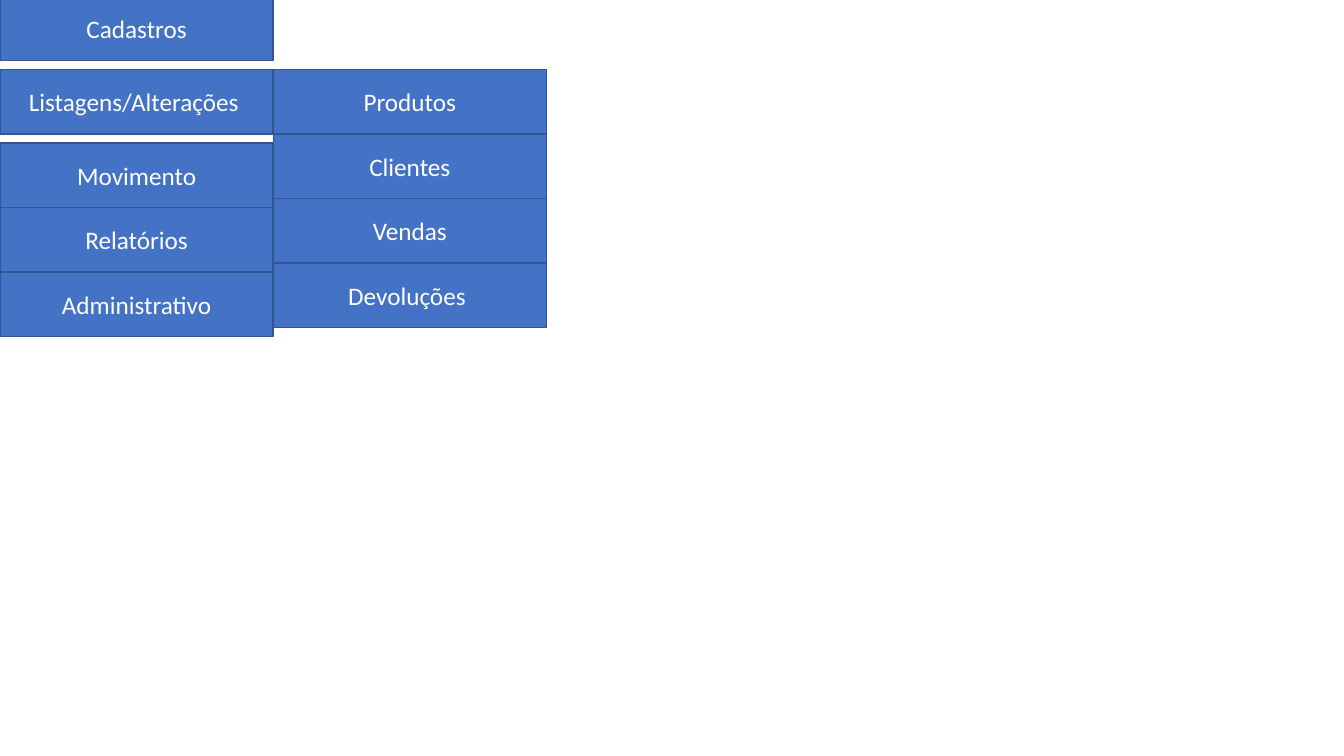
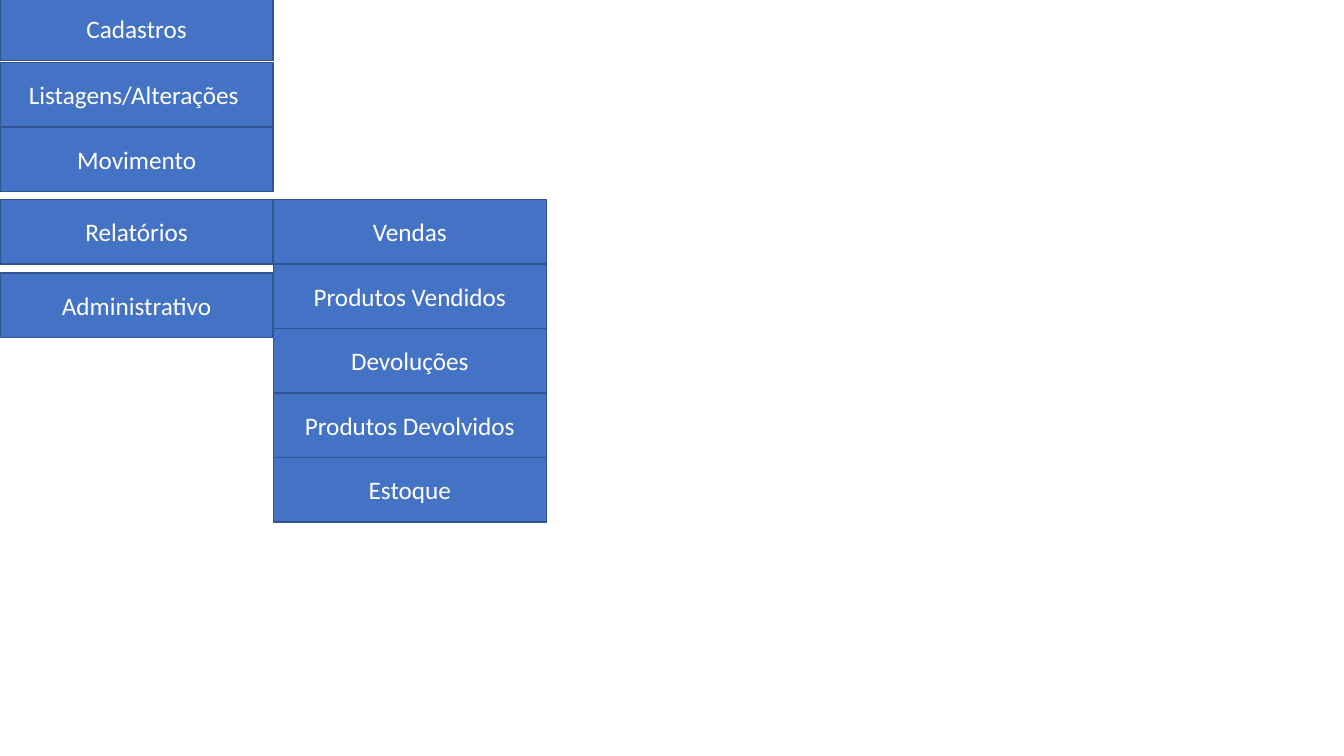
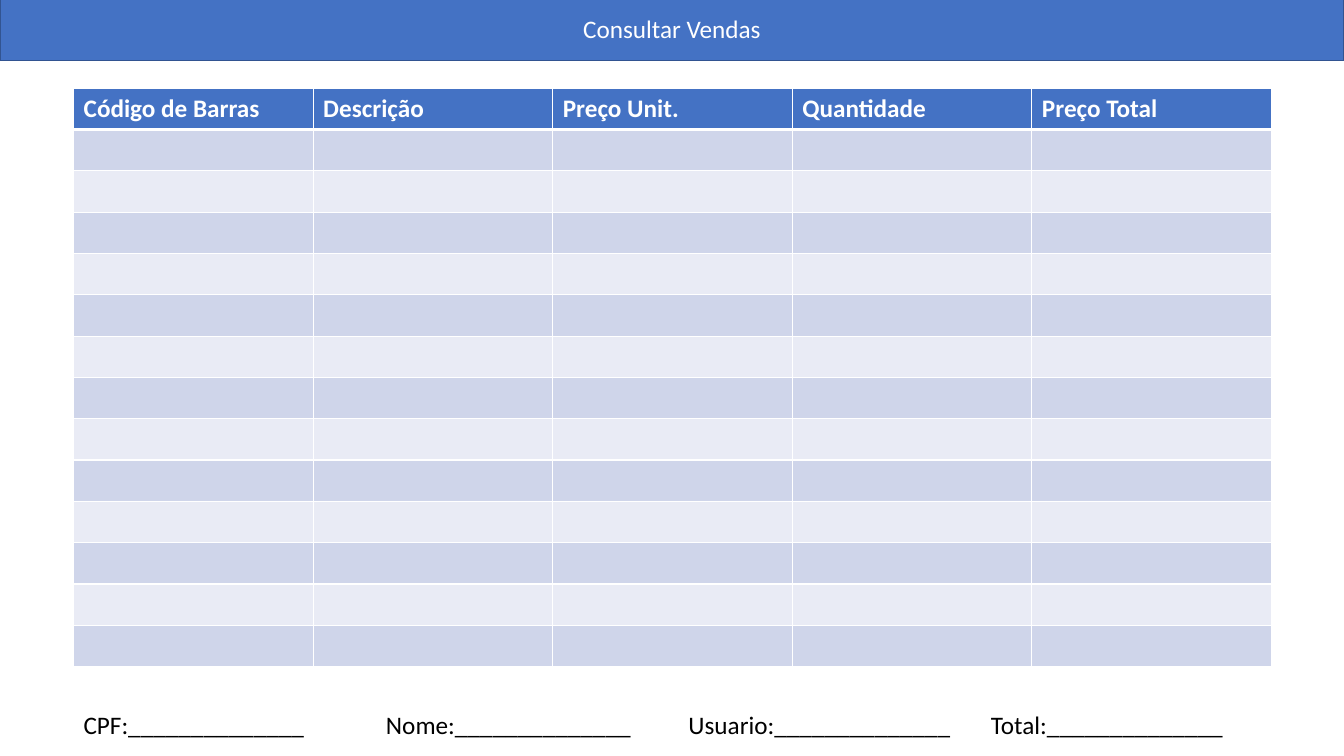
from dataclasses import dataclass

import lxml.etree
import pptx
import pptx.dml.color
import pptx.enum.shapes
import pptx.enum.text
import pptx.oxml.ns
import pptx.util

RGBColor = pptx.dml.color.RGBColor
Inches = pptx.util.Inches
ALIGN = pptx.enum.text.PP_ALIGN
qn = pptx.oxml.ns.qn

# Shared style
BLUE = RGBColor(0x44, 0x72, 0xC4)
DARK_BLUE = RGBColor(0x32, 0x54, 0x91)
DARK_BAND = RGBColor(0xCF, 0xD5, 0xEA)
LIGHT_BAND = RGBColor(0xE9, 0xEB, 0xF5)
WHITE = RGBColor(0xFF, 0xFF, 0xFF)
BLACK = RGBColor(0x00, 0x00, 0x00)
FONT = "Calibri"
FONT_SIZE = 18

# Grid, in inches
SLIDE_WIDTH, SLIDE_HEIGHT = 13.33, 7.5
BUTTON_WIDTH, BUTTON_HEIGHT = 2.71, 0.64
BAR_TOP = -0.04
MARGIN = 0.73
CONTENT_WIDTH = 11.88
TAB_STEP = 3


@dataclass(frozen=True)
class Menu:
    """Main menu with one open entry; each gap lies above its entry."""
    gaps: tuple[float, ...]
    open_entry: int
    submenu: tuple[str, ...]


MAIN_ENTRIES = ("Cadastros", "Listagens/Alterações ", "Movimento",
                "Relatórios", "Administrativo")
MENUS = (
    Menu((0, 0.09, 0.09, 0, 0), 1,
         ("Produtos", "Clientes", "Vendas", "Devoluções ")),
    Menu((0, 0.02, 0, 0.08, 0.09), 3,
         ("Vendas", "Produtos Vendidos", "Devoluções",
          "Produtos Devolvidos", "Estoque")),
)

SALES_HEADERS = ("Código de Barras", "Descrição", "Preço Unit.",
                 "Quantidade", "Preço Total")
SALES_ROWS = 13
SALES_TOP, HEADER_HEIGHT, ROW_HEIGHT = 0.88, 0.39, 0.41
FOOTER_LABELS = ("CPF", "Nome", "Usuario", "Total")
BLANK_FIELD = "_" * 14


def write_text(text_frame, text: str, *, color: RGBColor = WHITE,
               bold: bool = False, align: ALIGN = ALIGN.LEFT,
               tab_stops: tuple[float, ...] = ()) -> None:
    """Fill a text frame with one formatted paragraph."""
    paragraph = text_frame.paragraphs[0]
    paragraph.alignment = align
    if tab_stops:
        properties = paragraph._p.get_or_add_pPr()
        tab_list = lxml.etree.SubElement(properties, qn("a:tabLst"))
        for position in tab_stops:
            lxml.etree.SubElement(tab_list, qn("a:tab"),
                                  pos=str(Inches(position)), algn="l")
    run = paragraph.add_run()
    run.text = text
    run.font.name = FONT
    run.font.size = pptx.util.Pt(FONT_SIZE)
    run.font.bold = bold
    run.font.color.rgb = color


def add_button(slide, text: str, left: float, top: float,
               width: float = BUTTON_WIDTH) -> None:
    shape = slide.shapes.add_shape(
        pptx.enum.shapes.MSO_SHAPE.RECTANGLE,
        Inches(left), Inches(top), Inches(width), Inches(BUTTON_HEIGHT))
    shape.shadow.inherit = False
    shape.fill.solid()
    shape.fill.fore_color.rgb = BLUE
    shape.line.color.rgb = DARK_BLUE
    shape.line.width = pptx.util.Pt(1)
    shape.text_frame.vertical_anchor = pptx.enum.text.MSO_ANCHOR.MIDDLE
    write_text(shape.text_frame, text, align=ALIGN.CENTER)


def add_menu(slide, menu: Menu) -> None:
    top = BAR_TOP
    for index, (entry, gap) in enumerate(zip(MAIN_ENTRIES, menu.gaps)):
        top += gap
        add_button(slide, entry, 0, top)
        if index == menu.open_entry:
            for row, subentry in enumerate(menu.submenu):
                add_button(slide, subentry, BUTTON_WIDTH,
                           top + row * BUTTON_HEIGHT)
        top += BUTTON_HEIGHT


def style_cell(cell, fill: RGBColor, bottom_width: float = 1,
               top_width: float = 1) -> None:
    """Give a cell white borders and a plain fill."""
    properties = cell._tc.get_or_add_tcPr()
    widths = {"a:lnL": 1, "a:lnR": 1, "a:lnT": top_width, "a:lnB": bottom_width}
    for tag, width in widths.items():
        line = lxml.etree.SubElement(properties, qn(tag),
                                     w=str(pptx.util.Pt(width)))
        solid = lxml.etree.SubElement(line, qn("a:solidFill"))
        lxml.etree.SubElement(solid, qn("a:srgbClr"), val=str(WHITE))
    cell.fill.solid()
    cell.fill.fore_color.rgb = fill


def add_sales_table(slide) -> None:
    height = HEADER_HEIGHT + SALES_ROWS * ROW_HEIGHT
    table = slide.shapes.add_table(
        SALES_ROWS + 1, len(SALES_HEADERS), Inches(MARGIN), Inches(SALES_TOP),
        Inches(CONTENT_WIDTH), Inches(height)).table
    for index, row in enumerate(table.rows):
        row.height = Inches(ROW_HEIGHT if index else HEADER_HEIGHT)
        for cell, header in zip(row.cells, SALES_HEADERS):
            if index == 0:
                style_cell(cell, BLUE, bottom_width=3)
                write_text(cell.text_frame, header, bold=True)
            else:
                style_cell(cell, DARK_BAND if index % 2 else LIGHT_BAND,
                           top_width=3 if index == 1 else 1)


def add_footer_fields(slide) -> None:
    box = slide.shapes.add_textbox(Inches(MARGIN), Inches(6.99),
                                   Inches(CONTENT_WIDTH), Inches(0.4))
    box.text_frame.word_wrap = True
    stops = tuple(TAB_STEP * column for column in range(1, len(FOOTER_LABELS)))
    text = "\t".join(f"{label}:{BLANK_FIELD}" for label in FOOTER_LABELS)
    write_text(box.text_frame, text, color=BLACK, tab_stops=stops)


def main() -> None:
    presentation = pptx.Presentation()
    presentation.slide_width = Inches(SLIDE_WIDTH)
    presentation.slide_height = Inches(SLIDE_HEIGHT)
    blank = presentation.slide_layouts[6]

    # Menu slides
    for menu in MENUS:
        add_menu(presentation.slides.add_slide(blank), menu)

    # Sales query slide
    slide = presentation.slides.add_slide(blank)
    add_button(slide, "Consultar Vendas", 0, BAR_TOP, SLIDE_WIDTH)
    add_sales_table(slide)
    add_footer_fields(slide)

    presentation.save("out.pptx")


if __name__ == "__main__":
    main()
